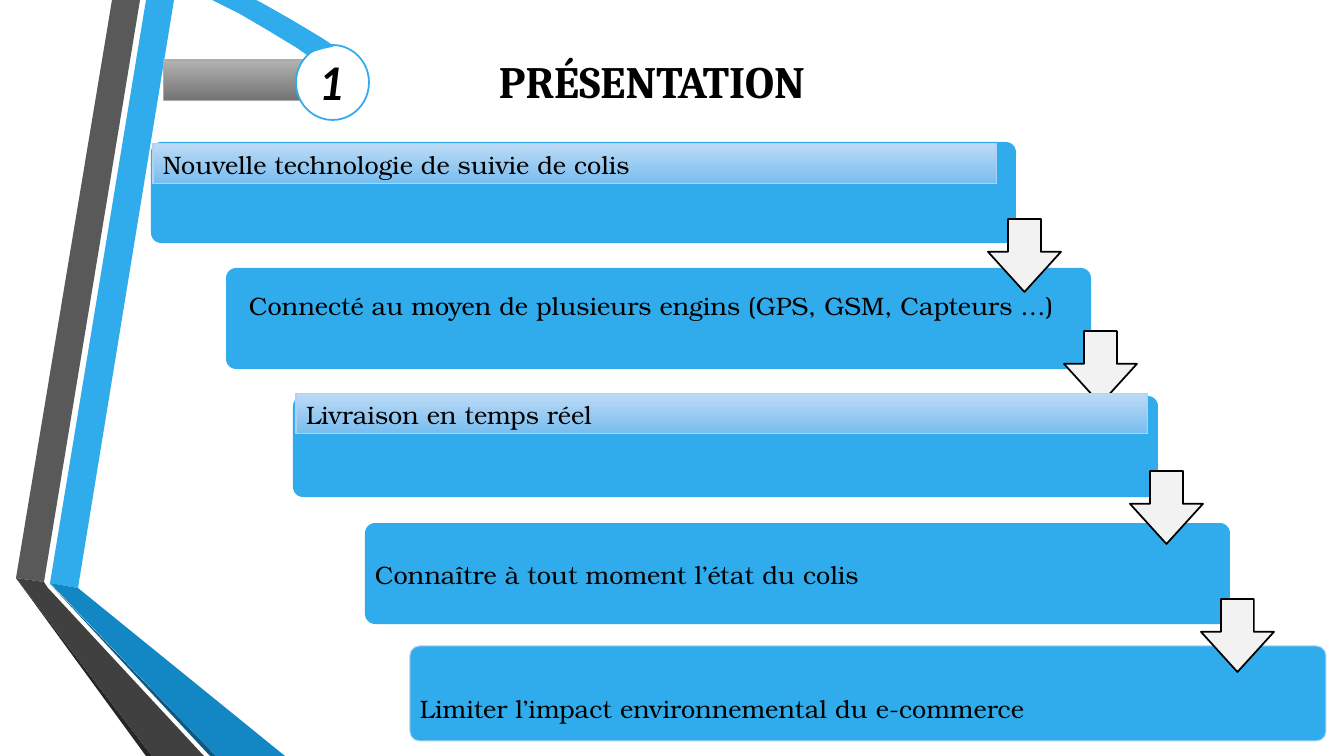
"""Build the presentation slide: a folded ribbon and a staircase of five linked bars."""
from dataclasses import dataclass

from pptx import Presentation
from pptx.dml.color import RGBColor
from pptx.enum.shapes import MSO_SHAPE
from pptx.enum.text import MSO_ANCHOR, MSO_AUTO_SIZE, PP_ALIGN
from pptx.util import Pt

RECT, ROUND, OVAL, DOWN = (MSO_SHAPE.RECTANGLE, MSO_SHAPE.ROUNDED_RECTANGLE,
                           MSO_SHAPE.OVAL, MSO_SHAPE.DOWN_ARROW)
TOP, MIDDLE, BOTTOM = MSO_ANCHOR.TOP, MSO_ANCHOR.MIDDLE, MSO_ANCHOR.BOTTOM
LEFT, CENTER = PP_ALIGN.LEFT, PP_ALIGN.CENTER
PX = 914400 / 100.8


@dataclass(frozen=True)
class Theme:
    blue: str = "30ACEC"
    blue_mid: str = "1287C3"
    blue_dark: str = "0C5A82"
    edge: str = "AED2F4"
    gray: str = "595959"
    gray_mid: str = "404040"
    gray_dark: str = "262626"
    gray_edge: str = "ABABAB"
    arrow: str = "F2F2F2"
    white: str = "FFFFFF"
    black: str = "000000"
    sky: tuple = ("BCDAF6", "78BDEF")
    steel: tuple = ("B2B2B2", "737373")
    title_font: str = "Cambria"
    number_font: str = "Lato"
    body_font: str = "TeX Gyre Bonum"
    title_size: int = 32
    body_size: int = 18


T = Theme()

TITLE = "PRÉSENTATION"
NUMBER = "1"
RIBBON = [
    (T.blue, [(50, 583), (78, 588), (174, 0), (146, 0)]),
    (T.gray, [(140, 0), (112, 0), (16, 578), (44, 582)]),
    (T.gray_dark, [(16, 578), (146, 756), (152, 756)]),
    (T.blue_dark, [(50, 584), (210, 756), (216, 756)]),
    (T.blue_mid, [(50, 583), (216, 756), (285, 756), (78, 588)]),
    (T.gray_mid, [(204, 756), (48, 588), (44, 582), (16, 578), (152, 756)]),
]
SWOOSH = [(212, 0), (256, 0), (262, 3), (292, 20), (322, 38), (334, 46),
          (332, 47), (323, 49), (313, 52), (307, 55), (297, 48), (269, 31), (240, 14)]
BAR_W, BAR_H, ARROW = 865, 101, 73
BARS = [(151, 142), (226, 268), (293, 396), (365, 523)]
LAST_BAR = (410, 646, 916, 95)
ARROWS = [(988, 219), (1064, 331), (1130, 471), (1201, 599)]
STRIPS = [
    ("Nouvelle technologie de suivie de colis", (153, 144, 844, 40)),
    ("Livraison en temps réel", (296, 394, 852, 40)),
]
LABELS = [
    ("Connecté au moyen de plusieurs engins (GPS, GSM, Capteurs …)",
     (239, 285, 844, 40), dict(anchor=TOP)),
    ("Connaître à tout moment l’état du colis",
     (368, 526, 729, 96), dict(inset=(7, 7, 7, 7))),
    ("Limiter l’impact environnemental du e-commerce",
     (413, 649, 772, 89), dict(anchor=BOTTOM, inset=(7, 7, 7, 14))),
]


def px(*values):
    return [round(v * PX) for v in values]


def rgb(color):
    return RGBColor.from_string(color)


def paint(sp, fill, line=None, width=0.75):
    sp.shadow.inherit = False
    if isinstance(fill, tuple):
        sp.fill.gradient()
        sp.fill.gradient_angle = 270
        for stop, color in zip(sp.fill.gradient_stops, fill):
            stop.color.rgb = rgb(color)
    else:
        sp.fill.solid()
        sp.fill.fore_color.rgb = rgb(fill)
    if line:
        sp.line.color.rgb = rgb(line)
        sp.line.width = Pt(width)
    else:
        sp.line.fill.background()


def add_shape(s, kind, box, fill, line=None, width=0.75, adj=()):
    sp = s.shapes.add_shape(kind, *px(*box))
    for i, value in enumerate(adj):
        sp.adjustments[i] = value
    paint(sp, fill, line, width)
    return sp


def add_outline(s, points, fill):
    fb = s.shapes.build_freeform(*points[0], scale=PX)
    fb.add_line_segments(points[1:], close=True)
    paint(fb.convert_to_shape(), fill)


def write(sp, text, font=T.body_font, size=T.body_size, bold=False, italic=False,
          align=LEFT, anchor=MIDDLE, inset=(10, 5, 10, 5)):
    tf = sp.text_frame
    tf.word_wrap = True
    tf.auto_size = MSO_AUTO_SIZE.NONE
    tf.vertical_anchor = anchor
    tf.margin_left, tf.margin_top, tf.margin_right, tf.margin_bottom = px(*inset)
    p = tf.paragraphs[0]
    p.alignment = align
    r = p.add_run()
    r.text = text
    f = r.font
    f.name, f.size, f.bold, f.italic = font, Pt(size), bold, italic
    f.color.rgb = rgb(T.black)


def main():
    prs = Presentation()
    prs.slide_width, prs.slide_height = px(1344, 756)
    s = prs.slides.add_slide(prs.slide_layouts[5])

    for color, points in RIBBON:
        add_outline(s, points, color)
    add_shape(s, RECT, (164, 60, 150, 41), T.steel, T.gray_edge)
    badge = add_shape(s, OVAL, (296, 45, 73, 75), T.white, T.blue, 1.25)
    write(badge, NUMBER, font=T.number_font, size=T.title_size, bold=True,
          italic=True, align=CENTER, inset=(0, 0, 0, 0))
    add_outline(s, SWOOSH, T.blue)

    title = s.shapes.title
    title.left, title.top, title.width, title.height = px(388, 48, 547, 65)
    write(title, TITLE, font=T.title_font, size=T.title_size, bold=True,
          inset=(111, 5, 10, 5))

    for x, y in BARS:
        add_shape(s, ROUND, (x, y, BAR_W, BAR_H), T.blue, adj=(0.1,))
    add_shape(s, ROUND, LAST_BAR, T.blue, T.edge, adj=(0.1,))
    for x, y in ARROWS:
        add_shape(s, DOWN, (x, y, ARROW, ARROW), T.arrow, T.black, 1.25, (0.45, 0.55))
    for text, box in STRIPS:
        write(add_shape(s, RECT, box, T.sky, T.edge), text, anchor=TOP)
    for text, box, fmt in LABELS:
        write(s.shapes.add_textbox(*px(*box)), text, **fmt)

    prs.save("out.pptx")


if __name__ == "__main__":
    main()
